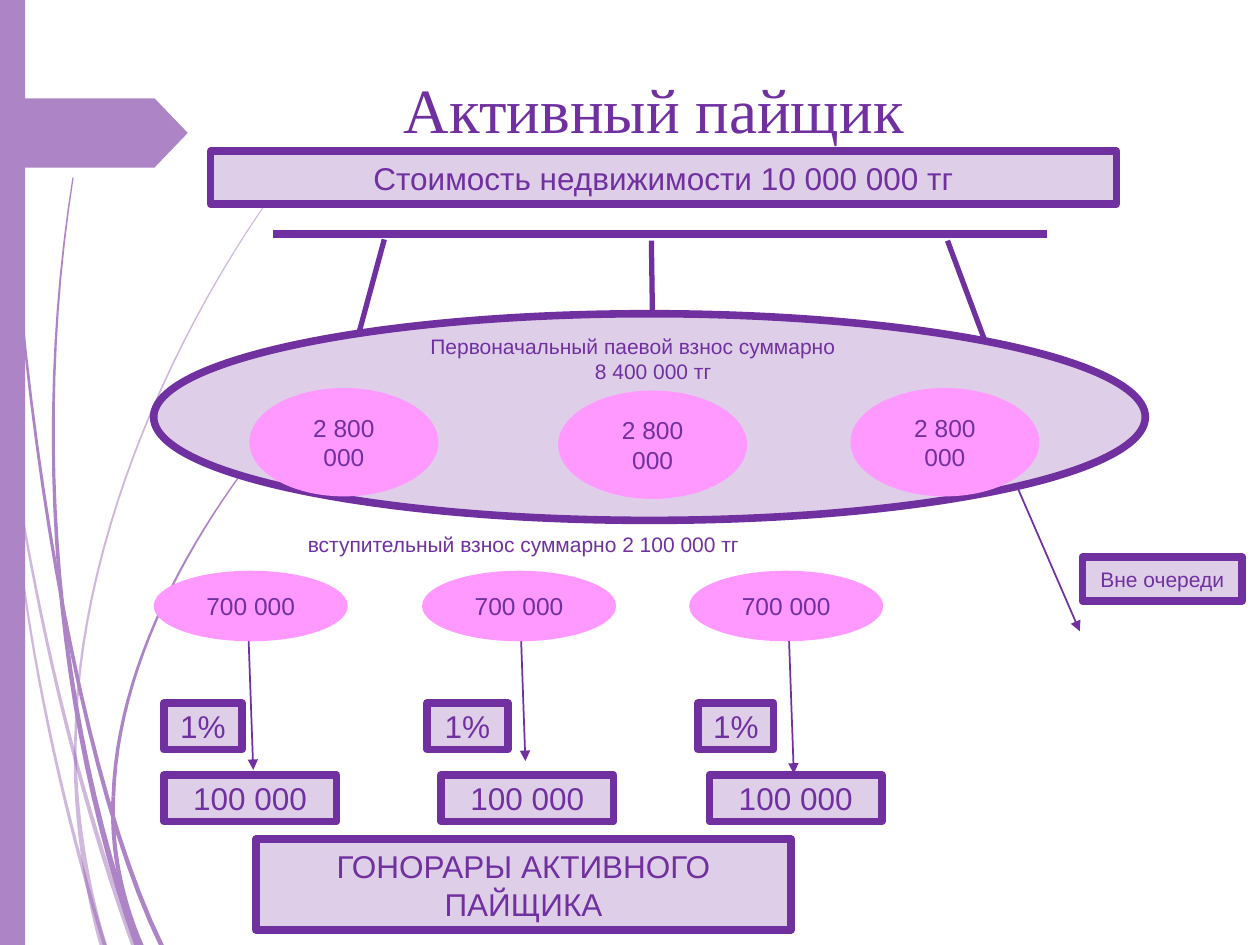
from collections import namedtuple
from dataclasses import dataclass

from lxml import etree
from pptx import Presentation
from pptx.dml.color import RGBColor
from pptx.enum import shapes, text
from pptx.oxml import ns
from pptx.util import Inches, Pt


@dataclass
class Theme:
    purple: RGBColor = RGBColor.from_string("7030A0")
    lilac: RGBColor = RGBColor.from_string("DECEE8")
    pink: RGBColor = RGBColor.from_string("FF99FF")
    accent: RGBColor = RGBColor.from_string("AD84C6")
    haze: RGBColor = RGBColor.from_string("874EA9")
    haze_opacity: int = 40000
    heading_font: str = "Times New Roman"
    body_font: str = "Arial"
    title: Pt = Pt(36)
    large: Pt = Pt(18)
    medium: Pt = Pt(14)
    small: Pt = Pt(12)
    frame_line: Pt = Pt(4.33)
    ruler_line: Pt = Pt(4.5)
    branch_line: Pt = Pt(3)
    arrow_line: Pt = Pt(1)


theme = Theme()
RECT = shapes.MSO_SHAPE.RECTANGLE
OVAL = shapes.MSO_SHAPE.OVAL
POINTER = shapes.MSO_SHAPE.PENTAGON

prs = Presentation()
prs.slide_width, prs.slide_height = Inches(10), Inches(7.5)
slide = prs.slides.add_slide(prs.slide_layouts[5])


def add_panel(kind, at, fill=None, words="", size=theme.large, framed=True):
    box = [Inches(v) for v in at]
    if kind is None:
        panel = slide.shapes.add_textbox(*box)
    else:
        panel = slide.shapes.add_shape(kind, *box)
        panel.shadow.inherit = False
        panel.fill.solid()
        panel.fill.fore_color.rgb = fill
        if framed:
            panel.line.color.rgb = theme.purple
            panel.line.width = theme.frame_line
        else:
            panel.line.fill.background()
    frame = panel.text_frame
    frame.word_wrap = True
    frame.vertical_anchor = text.MSO_ANCHOR.MIDDLE
    if words:
        frame.text = words
    for paragraph in frame.paragraphs:
        paragraph.alignment = text.PP_ALIGN.CENTER
        paragraph.font.name = theme.body_font
        paragraph.font.size = size
        paragraph.font.color.rgb = theme.purple
    return panel


def add_link(x1, y1, x2, y2, width, arrow=True):
    link = slide.shapes.add_connector(
        shapes.MSO_CONNECTOR.STRAIGHT, Inches(x1), Inches(y1), Inches(x2), Inches(y2))
    link.line.color.rgb = theme.purple
    link.line.width = width
    if arrow:
        etree.SubElement(link.line._get_or_add_ln(), ns.qn("a:tailEnd"), type="triangle")
    etree.SubElement(link._element.spPr, ns.qn("a:effectLst"))


Stem = namedtuple("Stem", "start bend_1 bend_2 end thin thick")
haze_stems = [
    Stem((0, 2.9), (0.2, 4.5), (0.55, 6.1), (1.06, 7.5), 0.01, 0.04),
    Stem((0.08, 3.5), (0.14, 4.8), (0.45, 6.25), (0.83, 7.5), 0.01, 0.03),
    Stem((2.17, 1.53), (1.3, 2.75), (0.62, 4.4), (0.6, 5.85), 0.01, 0.02),
    Stem((0.6, 5.85), (0.58, 6.45), (0.7, 7.1), (0.82, 7.5), 0.02, 0.06),
]
accent_stems = [
    Stem((0.03, 0), (0.06, 2.7), (0.55, 6), (1.28, 7.5), 0.01, 0.04),
    Stem((0.58, 1.41), (0.25, 3.5), (0.45, 5.7), (1.09, 7.5), 0.01, 0.05),
    Stem((2.16, 3.44), (1.5, 4.25), (0.93, 5.3), (0.9, 6.32), 0.01, 0.03),
    Stem((0.9, 6.32), (0.88, 6.75), (0.97, 7.15), (1.12, 7.5), 0.03, 0.04),
]
STEPS = 24
for stems, color, opacity in [(haze_stems, theme.haze, theme.haze_opacity),
                              (accent_stems, theme.accent, None)]:
    for stem in stems:
        left_edge, right_edge = [], []
        for step in range(STEPS + 1):
            t = step / STEPS
            weights = [(1 - t) ** 3, 3 * t * (1 - t) ** 2, 3 * t ** 2 * (1 - t), t ** 3]
            x, y = [sum(w * v for w, v in zip(weights, axis)) for axis in zip(*stem[:4])]
            half = (stem.thin + (stem.thick - stem.thin) * t) / 2
            left_edge.append((Inches(x - half), Inches(y)))
            right_edge.append((Inches(x + half), Inches(y)))
        outline = left_edge + right_edge[::-1]
        builder = slide.shapes.build_freeform(*outline[0])
        builder.add_line_segments(outline[1:], close=True)
        ribbon = builder.convert_to_shape()
        ribbon.shadow.inherit = False
        ribbon.line.fill.background()
        ribbon.fill.solid()
        ribbon.fill.fore_color.rgb = color
        if opacity:
            tint = ribbon._element.spPr.find(".//" + ns.qn("a:srgbClr"))
            etree.SubElement(tint, ns.qn("a:alpha"), val=str(opacity))

add_panel(RECT, (0, 0, 0.2, 7.5), theme.accent, framed=False)
page_marker = add_panel(POINTER, (0, 0.78, 1.49, 0.55), theme.accent, framed=False)
page_marker.adjustments[0] = 0.48

title = slide.shapes.title
title.left, title.top, title.width, title.height = map(Inches, (2.04, 0.52, 6.3, 0.68))
title.text_frame.text = "Активный пайщик"
title.text_frame.vertical_anchor = text.MSO_ANCHOR.BOTTOM
title.text_frame.margin_top = 0
title.text_frame.margin_bottom = Inches(0.04)
heading = title.text_frame.paragraphs[0]
heading.alignment = text.PP_ALIGN.CENTER
heading.font.name = theme.heading_font
heading.font.size = theme.title
heading.font.color.rgb = theme.purple

add_link(2.17, 1.86, 8.31, 1.86, theme.ruler_line, arrow=False)
add_panel(RECT, (1.67, 1.2, 7.19, 0.42), theme.lilac, "Стоимость недвижимости 10 000 000 тг")
for branch in [(3.05, 1.9, 2.73, 3.08), (5.17, 1.91, 5.19, 3.33), (7.52, 1.91, 8.05, 3.33)]:
    add_link(*branch, theme.branch_line)

add_panel(OVAL, (1.22, 2.49, 7.87, 1.64), theme.lilac)
share_total = add_panel(None, (3.23, 2.73, 3.91, 0.23), size=theme.small,
                        words="Первоначальный паевой взнос суммарно\n8 400 000 тг")
line_offset = Inches(0.32)
share_total.text_frame.margin_right += line_offset
share_total.text_frame.paragraphs[1]._p.get_or_add_pPr().set("marL", str(line_offset))
for share_left, share_top in [(1.98, 3.08), (4.43, 3.1), (6.75, 3.08)]:
    add_panel(OVAL, (share_left, share_top, 1.5, 0.86), theme.pink, "2 800 000",
              theme.medium, framed=False)

add_panel(None, (2.2, 4.2, 3.91, 0.23), size=theme.small,
          words="вступительный взнос суммарно 2 100 000 тг")
Member = namedtuple("Member", "fee_left arrow_x arrow_top rate_left rate_width payout_left")
members = [
    Member(1.22, 1.97, 4.98, 1.3, 0.62, 1.3),
    Member(3.35, 4.13, 4.91, 3.39, 0.64, 3.5),
    Member(5.47, 6.26, 5.01, 5.54, 0.6, 5.63),
]
for member in members:
    add_link(member.arrow_x, member.arrow_top, member.arrow_x + 0.04, member.arrow_top + 1.13,
             theme.arrow_line)
    add_panel(OVAL, (member.fee_left, 4.53, 1.54, 0.56), theme.pink, "700 000",
              theme.medium, framed=False)
    add_panel(RECT, (member.rate_left, 5.58, member.rate_width, 0.37), theme.lilac, "1%")
    add_panel(RECT, (member.payout_left, 6.15, 1.37, 0.37), theme.lilac, "100 000")

add_panel(RECT, (2.03, 6.66, 4.25, 0.72), theme.lilac, "ГОНОРАРЫ АКТИВНОГО ПАЙЩИКА")
add_link(8.08, 3.88, 8.57, 5.01, theme.arrow_line)
add_panel(RECT, (8.59, 4.42, 1.27, 0.35), theme.lilac, "Вне очереди", theme.small)

prs.save("out.pptx")
